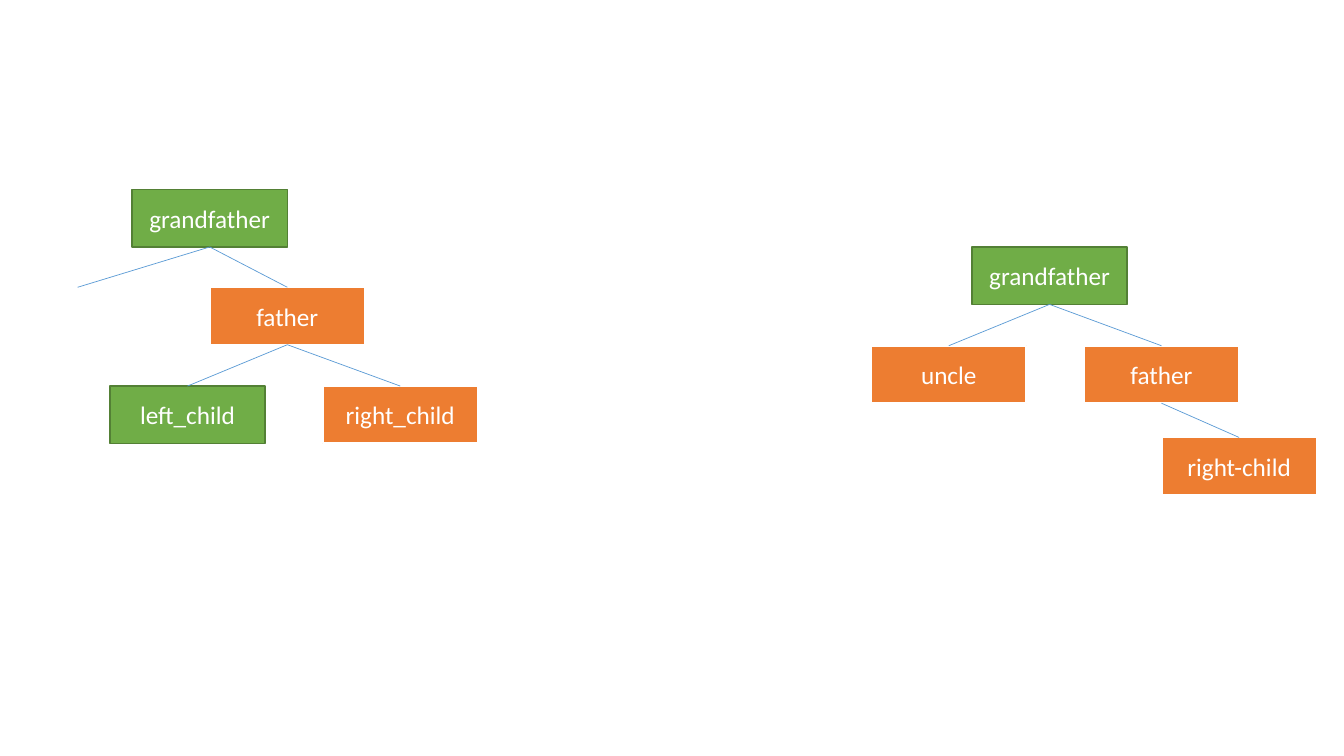
from dataclasses import dataclass

from lxml.etree import SubElement
from pptx import Presentation
from pptx.dml.color import RGBColor as Rgb
from pptx.enum.shapes import MSO_CONNECTOR as Connector, MSO_SHAPE as Shape
from pptx.enum.text import MSO_ANCHOR as Anchor, PP_ALIGN as Align
from pptx.oxml.ns import qn
from pptx.util import Pt

EMU_PER_PX = 9144
BOX_WIDTH, BOX_HEIGHT = 154, 57
BOTTOM, TOP = 2, 0


@dataclass(frozen=True)
class NodeStyle:
    """Fill, outline colour and outline width of a tree node."""
    fill: str
    line: str
    line_pt: float


@dataclass(frozen=True)
class Theme:
    """Colours and type of the slide."""
    green: NodeStyle = NodeStyle("70AD47", "538035", 1)
    orange: NodeStyle = NodeStyle("ED7D31", "FFFFFF", 1.5)
    link: str = "5B9BD5"
    link_pt: float = 0.5
    text: str = "FFFFFF"
    font: str = "Calibri"
    text_pt: int = 18


THEME = Theme()


def px(length):
    """Turn whole pixels into EMU."""
    return length * EMU_PER_PX


def add_node(page, label, left, top, style):
    """Add a labelled tree node and return it."""
    box = page.shapes.add_shape(
        Shape.RECTANGLE, px(left), px(top), px(BOX_WIDTH), px(BOX_HEIGHT))
    box.shadow.inherit = False
    box.fill.solid()
    box.fill.fore_color.rgb = Rgb.from_string(style.fill)
    box.line.color.rgb = Rgb.from_string(style.line)
    box.line.width = Pt(style.line_pt)
    frame = box.text_frame
    frame.word_wrap = True
    frame.vertical_anchor = Anchor.MIDDLE
    frame.margin_left = frame.margin_right = px(10)
    frame.margin_top = frame.margin_bottom = px(10)
    para = frame.paragraphs[0]
    para.text = label
    para.alignment = Align.CENTER
    para.font.name = THEME.font
    para.font.size = Pt(THEME.text_pt)
    para.font.color.rgb = Rgb.from_string(THEME.text)
    return box


def add_link(page, parent, child=None, end=(0, 0)):
    """Link a parent's bottom to a child's top, or to a free end point."""
    link = page.shapes.add_connector(
        Connector.STRAIGHT, 0, 0, px(end[0]), px(end[1]))
    link.begin_connect(parent, BOTTOM)
    if child is not None:
        link.end_connect(child, TOP)
    link.line.color.rgb = Rgb.from_string(THEME.link)
    link.line.width = Pt(THEME.link_pt)
    SubElement(link._element.spPr, qn("a:effectLst"))


def add_left_tree(page):
    """Add the tree whose grandfather has an empty left branch."""
    grandfather = add_node(page, "grandfather", 131, 188, THEME.green)
    father = add_node(page, "father", 208, 285, THEME.orange)
    left_child = add_node(page, "left_child", 109, 383, THEME.green)
    right_child = add_node(page, "right_child", 320, 383, THEME.orange)
    add_link(page, grandfather, end=(77, 285))
    for parent, child in ((grandfather, father), (father, left_child),
                          (father, right_child)):
        add_link(page, parent, child)


def add_right_tree(page):
    """Add the tree with an uncle and a right child."""
    grandfather = add_node(page, "grandfather", 964, 245, THEME.green)
    uncle = add_node(page, "uncle", 864, 343, THEME.orange)
    father = add_node(page, "father", 1075, 343, THEME.orange)
    right_child = add_node(page, "right-child", 1152, 434, THEME.orange)
    for parent, child in ((grandfather, uncle), (grandfather, father),
                          (father, right_child)):
        add_link(page, parent, child)


def main():
    """Build the slide and save the deck."""
    deck = Presentation()
    deck.slide_width, deck.slide_height = px(1333), px(750)
    page = deck.slides.add_slide(deck.slide_layouts[6])
    add_left_tree(page)
    add_right_tree(page)
    deck.save("out.pptx")


if __name__ == "__main__":
    main()
